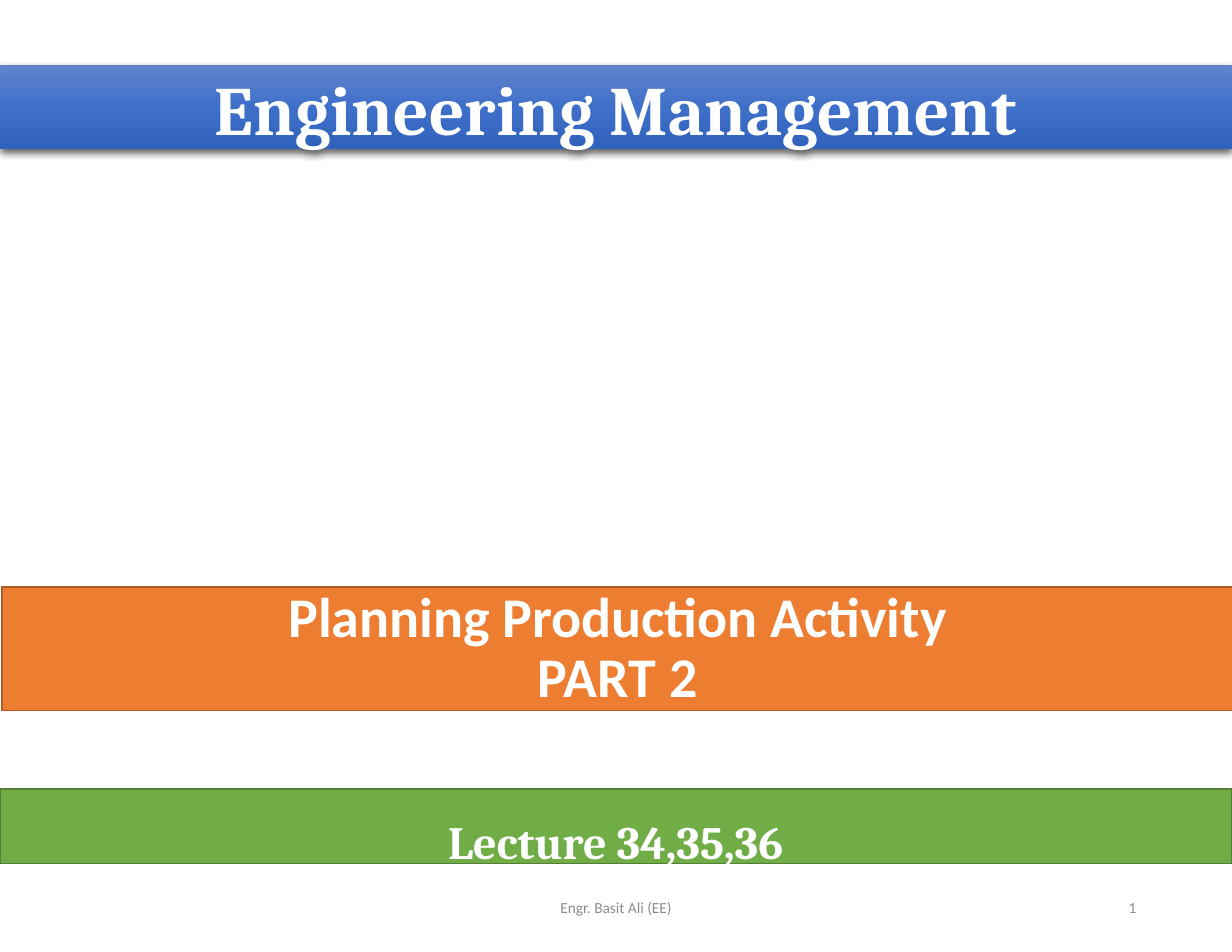
from lxml import etree
from pptx import Presentation
from pptx.dml.color import RGBColor
from pptx.enum import shapes, text
from pptx.oxml import parse_xml
from pptx.oxml.ns import nsdecls, qn
from pptx.util import Pt

COLORS = {
    "white": "FFFFFF", "grey": "8C8C8C", "shadow": "000000",
    "green": "70AD47", "green_edge": "538035",
    "orange": "ED7D31", "orange_edge": "AF5C24",
    "blue_top": "6183CB", "blue_mid": "3E70CA", "blue_low": "3062BB",
}
WIDTH, HEIGHT = 792, 612


class SlideBuilder:
    heading_font = "Cambria"
    body_font = "Calibri"

    def __init__(self, slide):
        self.slide = slide

    def color(self, name):
        return RGBColor.from_string(COLORS[name])

    def place(self, item, left, top, width, height):
        item.left, item.top, item.width, item.height = map(Pt, (left, top, width, height))

    def set_text(self, item, wording, size, font, color, bold=False,
                 align=text.PP_ALIGN.CENTER, spacing=None):
        frame = item.text_frame
        frame.text = wording
        frame.word_wrap = True
        frame.auto_size = text.MSO_AUTO_SIZE.NONE
        frame.vertical_anchor = text.MSO_ANCHOR.MIDDLE
        for paragraph in frame.paragraphs:
            paragraph.alignment = align
            paragraph.line_spacing = spacing
            for run in paragraph.runs:
                run.font.size = Pt(size)
                run.font.name = font
                run.font.bold = bold
                run.font.color.rgb = self.color(color)

    def banner_text(self, item, wording, size, font, spacing):
        self.set_text(item, wording, size, font, "white", True, spacing=spacing)
        frame = item.text_frame
        frame.margin_left = frame.margin_right = frame.margin_bottom = 0
        frame.margin_top = Pt(0.8)

    def title(self, wording, box):
        heading = self.slide.shapes.title
        self.place(heading, *box)
        self.banner_text(heading, wording, 44.5, self.heading_font, Pt(53.4))
        stops = "".join(
            f'<a:gs pos="{position}"><a:srgbClr val="{COLORS[name]}"/></a:gs>'
            for position, name in ((0, "blue_top"), (50000, "blue_mid"), (100000, "blue_low")))
        properties = heading.element.spPr
        properties.append(parse_xml(
            f'<a:gradFill {nsdecls("a")} rotWithShape="1"><a:gsLst>{stops}</a:gsLst>'
            '<a:lin ang="5400000" scaled="0"/></a:gradFill>'))
        properties.append(parse_xml(
            f'<a:effectLst {nsdecls("a")}><a:outerShdw blurRad="{Pt(4.5)}" dist="{Pt(1.5)}" '
            f'dir="5400000" algn="ctr" rotWithShape="0"><a:srgbClr val="{COLORS["shadow"]}">'
            '<a:alpha val="63000"/></a:srgbClr></a:outerShdw></a:effectLst>'))

    def banner(self, wording, box, fill, size, font, spacing):
        band = self.slide.shapes.add_shape(shapes.MSO_SHAPE.RECTANGLE, *map(Pt, box))
        band.shadow.inherit = False
        band.fill.solid()
        band.fill.fore_color.rgb = self.color(fill)
        band.line.color.rgb = self.color(fill + "_edge")
        band.line.width = Pt(1)
        self.banner_text(band, wording, size, font, spacing)

    def footer(self, wording, box, align):
        note = self.slide.shapes.add_textbox(*map(Pt, box))
        self.set_text(note, wording, 9.9, self.body_font, "grey", align=align)
        return note

    def page_number(self, wording, box):
        number = self.footer(wording, box, text.PP_ALIGN.RIGHT)
        run = number.element.find(".//" + qn("a:r"))
        field = etree.Element(qn("a:fld"), id="{B6F15528-21DE-4FAA-801E-634DDDAF4B2B}",
                              type="slidenum")
        run.getparent().replace(run, field)
        field.extend(list(run))


def main():
    deck = Presentation()
    deck.slide_width, deck.slide_height = Pt(WIDTH), Pt(HEIGHT)
    builder = SlideBuilder(deck.slides.add_slide(deck.slide_layouts[5]))
    builder.title("Engineering Management", (0, 42, WIDTH, 54))
    builder.banner("Lecture 34,35,36", (0, 507.3, WIDTH, 47.8), "green",
                   29.7, builder.heading_font, Pt(53.4))
    builder.banner("Planning Production Activity\nPART 2", (1.2, 377.3, WIDTH, 79.4), "orange",
                   36, builder.body_font, 0.9)
    builder.page_number("1", (559.4, 567.2, 178.2, 32.6))
    builder.footer("Engr. Basit Ali (EE)", (262.4, 567.2, 267.3, 32.6), text.PP_ALIGN.CENTER)
    deck.save("out.pptx")


if __name__ == "__main__":
    main()
